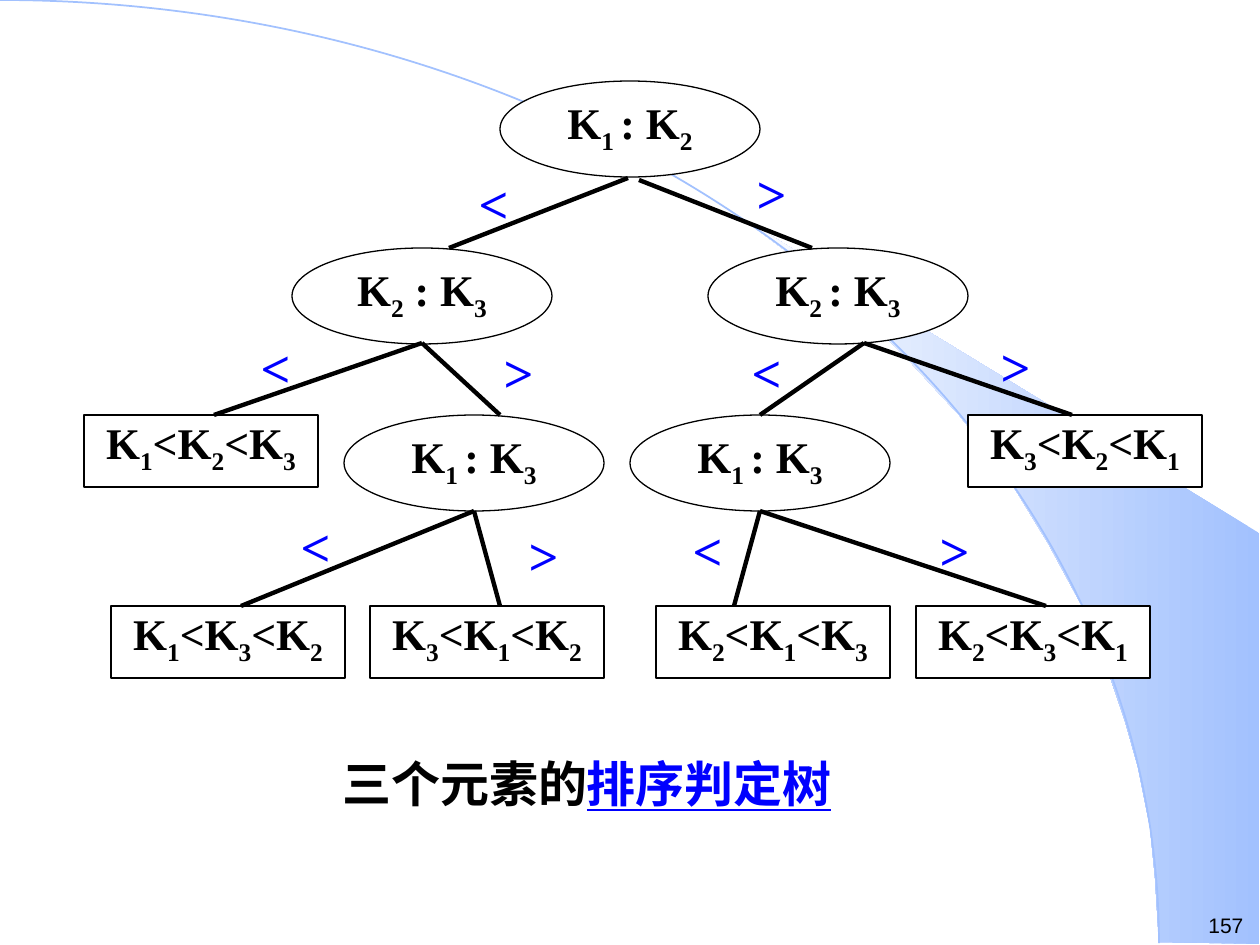
from dataclasses import dataclass
from typing import NamedTuple

from lxml.etree import SubElement
from pptx import Presentation
from pptx.dml.color import RGBColor
from pptx.enum.shapes import MSO_CONNECTOR, MSO_SHAPE
from pptx.enum.text import MSO_ANCHOR, PP_ALIGN
from pptx.oxml.ns import qn
from pptx.util import Pt


@dataclass(frozen=True)
class Theme:
    black: RGBColor = RGBColor(0, 0, 0)
    white: RGBColor = RGBColor(255, 255, 255)
    accent: RGBColor = RGBColor(0, 0, 255)
    band: RGBColor = RGBColor(0xA2, 0xC1, 0xFE)
    band_end: RGBColor = RGBColor(0xFE, 0xFE, 0xFE)
    serif: str = "Times New Roman"
    sans: str = "Arial"
    node_size: int = 25
    sign_size: int = 30
    caption_size: int = 28
    spacer_size: int = 40
    number_size: int = 12


class Node(NamedTuple):
    left: int
    top: int
    label: str  # parts between underscores are subscripts


class Edge(NamedTuple):
    start: tuple[int, int]
    end: tuple[int, int]


class Sign(NamedTuple):
    left: int
    top: int
    text: str


THEME = Theme()
EMU_PER_PX = 914400 / 126
COMPARISON_SIZE = (260, 96)
ORDER_SIZE = (234, 72)
SIGN_SIZE = (105, 76)
LEVELS = (81, 248, 415, 606)

COMPARISONS = (
    Node(500, LEVELS[0], "K_1 _: K_2"),
    Node(292, LEVELS[1], "K_2_ : K_3"),
    Node(708, LEVELS[1], "K_2 _: K_3"),
    Node(344, LEVELS[2], "K_1 _: K_3"),
    Node(630, LEVELS[2], "K_1 _: K_3"),
)
ORDERS = (
    Node(84, LEVELS[2], "K_1_<K_2_<K_3"),
    Node(968, LEVELS[2], "K_3_<K_2_<K_1"),
    Node(111, LEVELS[3], "K_1_<K_3_<K_2"),
    Node(370, LEVELS[3], "K_3_<K_1_<K_2"),
    Node(656, LEVELS[3], "K_2_<K_1_<K_3"),
    Node(916, LEVELS[3], "K_2_<K_3_<K_1"),
)
EDGES = (
    Edge((628, 178), (449, LEVELS[1])),
    Edge((639, 180), (812, LEVELS[1])),
    Edge((422, 343), (214, LEVELS[2])),
    Edge((422, 343), (500, LEVELS[2])),
    Edge((864, 343), (760, LEVELS[2])),
    Edge((864, 343), (1072, LEVELS[2])),
    Edge((474, 511), (241, LEVELS[3])),
    Edge((474, 511), (500, LEVELS[3])),
    Edge((760, 511), (734, LEVELS[3])),
    Edge((760, 511), (1046, LEVELS[3])),
)
SIGNS = (
    Sign(441, 165, "<"), Sign(719, 155, ">"),
    Sign(223, 329, "<"), Sign(466, 334, ">"),
    Sign(714, 334, "<"), Sign(963, 328, ">"),
    Sign(263, 508, "<"), Sign(491, 517, ">"),
    Sign(655, 512, "<"), Sign(902, 512, ">"),
)
BAND_OUTLINE = (
    (1159, 942), (1259, 944), (1259, 533), (742, 218), (786, 251), (823, 280),
    (863, 315), (902, 353), (960, 416), (1012, 484), (1048, 543), (1081, 604),
    (1106, 665), (1125, 721), (1138, 767), (1150, 827), (1155, 877),
)


def px(length: float) -> int:
    return round(length * EMU_PER_PX)


def style_run(run, size: int, color: RGBColor, font: str = THEME.serif, bold: bool = True) -> None:
    run.font.size = Pt(size)
    run.font.name = font
    run.font.bold = bold
    run.font.color.rgb = color


def draw_background(slide) -> None:
    # Shaded band on the right
    builder = slide.shapes.build_freeform(*BAND_OUTLINE[0], scale=EMU_PER_PX)
    builder.add_line_segments(BAND_OUTLINE[1:], close=True)
    band = builder.convert_to_shape()
    band.shadow.inherit = False
    band.line.fill.background()
    band.fill.gradient()
    band.fill.gradient_angle = 180
    for stop, color, position in zip(band.fill.gradient_stops, (THEME.band, THEME.band_end), (0, 1)):
        stop.color.rgb = color
        stop.position = position
    # Quarter ellipse sweeping from the top left corner
    arc = slide.shapes.add_shape(MSO_SHAPE.ARC, px(-1159), 0, px(2318), px(1886))
    arc.shadow.inherit = False
    arc.fill.background()
    arc.line.color.rgb = THEME.band
    arc.line.width = Pt(1)


def draw_node(slide, node: Node, kind: MSO_SHAPE, size: tuple[int, int]) -> None:
    shape = slide.shapes.add_shape(kind, px(node.left), px(node.top), px(size[0]), px(size[1]))
    shape.shadow.inherit = False
    shape.fill.solid()
    shape.fill.fore_color.rgb = THEME.white
    shape.line.color.rgb = THEME.black
    shape.line.width = Pt(0.75)
    frame = shape.text_frame
    frame.vertical_anchor = MSO_ANCHOR.TOP
    frame.margin_left = frame.margin_right = px(2)
    frame.margin_top = frame.margin_bottom = px(1)
    paragraph = frame.paragraphs[0]
    paragraph.alignment = PP_ALIGN.CENTER
    for index, part in enumerate(node.label.split("_")):
        run = paragraph.add_run()
        run.text = part
        style_run(run, THEME.node_size, THEME.black)
        if index % 2:
            run.font._element.set("baseline", "-25000")


def draw_edge(slide, edge: Edge) -> None:
    points = [px(value) for value in edge.start + edge.end]
    line = slide.shapes.add_connector(MSO_CONNECTOR.STRAIGHT, *points)
    line.line.color.rgb = THEME.black
    line.line.width = Pt(2.5)
    SubElement(line._element.spPr, qn("a:effectLst"))


def add_text(slide, left: int, top: int, width: int, height: int, text: str):
    box = slide.shapes.add_textbox(px(left), px(top), px(width), px(height))
    box.text_frame.word_wrap = True
    box.text_frame.text = text
    return box.text_frame


def draw_sign(slide, sign: Sign) -> None:
    paragraph = add_text(slide, sign.left, sign.top, *SIGN_SIZE, sign.text).paragraphs[0]
    paragraph.alignment = PP_ALIGN.CENTER
    style_run(paragraph.runs[0], THEME.sign_size, THEME.accent)


def draw_caption(slide) -> None:
    frame = add_text(slide, 330, 726, 530, 97, "三个元素的")
    frame.word_wrap = False
    frame.vertical_anchor = MSO_ANCHOR.MIDDLE
    paragraph = frame.paragraphs[0]
    style_run(paragraph.runs[0], THEME.caption_size, THEME.black)
    term = paragraph.add_run()
    term.text = "排序判定树"
    style_run(term, THEME.caption_size, THEME.accent)
    term.font.underline = True
    spacer = paragraph.add_run()
    spacer.text = " "
    style_run(spacer, THEME.spacer_size, THEME.black)


def main() -> None:
    presentation = Presentation()
    presentation.slide_width, presentation.slide_height = px(1260), px(945)
    slide = presentation.slides.add_slide(presentation.slide_layouts[6])
    draw_background(slide)
    # Slide number
    number = add_text(slide, 1196, 906, 64, 38, "157").paragraphs[0]
    style_run(number.runs[0], THEME.number_size, THEME.black, THEME.sans, bold=False)
    # Decision tree
    for node in COMPARISONS:
        draw_node(slide, node, MSO_SHAPE.OVAL, COMPARISON_SIZE)
    for node in ORDERS:
        draw_node(slide, node, MSO_SHAPE.RECTANGLE, ORDER_SIZE)
    for edge in EDGES:
        draw_edge(slide, edge)
    for sign in SIGNS:
        draw_sign(slide, sign)
    draw_caption(slide)
    presentation.save("out.pptx")


if __name__ == "__main__":
    main()
